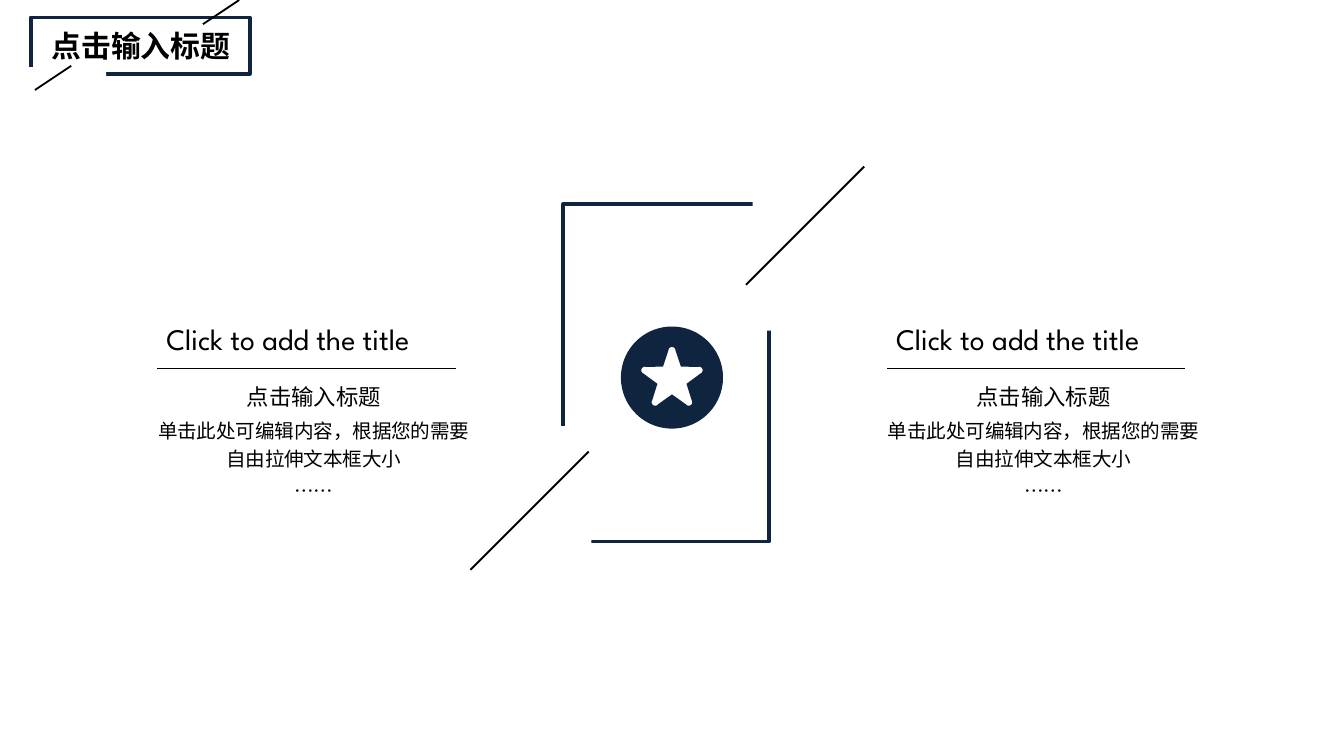
from dataclasses import dataclass
from math import cos, pi, sin

from lxml.etree import SubElement
from pptx import Presentation
from pptx.dml.color import RGBColor as Color
from pptx.enum.shapes import MSO_CONNECTOR as Connector, MSO_SHAPE as Shape
from pptx.enum.text import PP_ALIGN as Align
from pptx.oxml.ns import qn
from pptx.util import Inches, Pt


@dataclass(frozen=True)
class Theme:
    """Colours, fonts and type sizes of the deck."""
    navy: Color = Color(0x0F, 0x24, 0x3E)
    black: Color = Color(0, 0, 0)
    white: Color = Color(255, 255, 255)
    heading_font: str = "Arial"
    title_font: str = "League Spartan"
    body_font: str = "Noto Sans CJK SC"
    title_size: float = 16
    subtitle_size: float = 12
    body_size: float = 10.5


THEME = Theme()
HEADING = "点击输入标题"
TITLE = "Click to add the title"
BODY = [HEADING, "单击此处可编辑内容，根据您的需要自由拉伸文本框大小", "……"]


def add_rectangle(page, left, top, width, height, fill=None, line=None):
    """Add a rectangle with an optional fill and outline."""
    box = page.shapes.add_shape(Shape.RECTANGLE, *map(Inches, (left, top, width, height)))
    box.shadow.inherit = False
    if fill is None:
        box.fill.background()
    else:
        box.fill.solid()
        box.fill.fore_color.rgb = fill
    if line is None:
        box.line.fill.background()
    else:
        box.line.color.rgb = line
        box.line.width = Pt(2)


def add_line(page, start, end, weight=1):
    """Add a straight black line without a shadow."""
    line = page.shapes.add_connector(Connector.STRAIGHT, *map(Inches, (*start, *end)))
    line.line.color.rgb = THEME.black
    line.line.width = Pt(weight)
    SubElement(line._element.spPr, qn("a:effectLst"))


def add_text(page, box, lines, font, sizes, bold=False, align=None, inset=None):
    """Add a wrapping text box with one paragraph per line and return its frame."""
    frame = page.shapes.add_textbox(*map(Inches, box)).text_frame
    frame.word_wrap = True
    if inset is not None:
        frame.margin_left = frame.margin_right = Inches(inset)
        frame.margin_top = frame.margin_bottom = Inches(inset)
    frame.text = "\n".join(lines)
    for para, size in zip(frame.paragraphs, sizes):
        para.alignment = align
        for span in para.runs:
            span.font.name = font
            span.font.size = Pt(size)
            span.font.bold = bold
            span.font.color.rgb = THEME.black
            SubElement(span.font._element, qn("a:ea"), typeface=font)
    return frame


def add_header(page, left, top, width, height):
    """Draw the heading in a frame opened at its lower left."""
    add_rectangle(page, left, top, width, height, line=THEME.navy)
    add_rectangle(page, left - 0.23, top + 0.37, 0.79, 0.08, fill=THEME.white)
    for x, y in ((1.28, -0.13), (0.03, 0.36)):
        add_line(page, (left + x + 0.27, top + y), (left + x, top + y + 0.18))
    add_text(page, (left - 0.28, top + 0.03, 2.2, 0.37), [HEADING], THEME.heading_font,
             [THEME.title_size], bold=True, align=Align.CENTER)


def add_star_badge(page, center_x, center_y, radius):
    """Draw a disc with a soft-tipped star cut out of it."""
    def polar(x, y, distance, angle):
        return x + distance * sin(angle), y - distance * cos(angle)

    disc = [polar(center_x, center_y, radius, 2 * pi * step / 90) for step in range(90)]
    star_y = center_y + 0.03 * radius
    star = []
    for arm in range(5):
        angle = 2 * pi * arm / 5
        tip = polar(center_x, star_y, 0.56 * radius, angle)
        star += [polar(*tip, 0.07 * radius, angle + pi * turn / 8) for turn in range(-4, 5)]
        star.append(polar(center_x, star_y, 0.3 * radius, angle + pi / 5))
    star.reverse()
    disc, star = ([(Inches(x), Inches(y)) for x, y in outline] for outline in (disc, star))
    builder = page.shapes.build_freeform(*disc[0])
    builder.add_line_segments(disc[1:], close=True)
    builder.move_to(*star[0])
    builder.add_line_segments(star[1:], close=True)
    badge = builder.convert_to_shape()
    badge.shadow.inherit = False
    badge.fill.solid()
    badge.fill.fore_color.rgb = THEME.navy
    badge.line.fill.background()


def add_centerpiece(page, left, top, width, height):
    """Draw the central frame with two open corners, slashes and the badge."""
    add_rectangle(page, left, top, width, height, line=THEME.navy)
    for x, y in ((1.41, -0.28), (-0.1, 1.65)):
        add_rectangle(page, left + x, top + y, 0.31, 1.22, fill=THEME.white)
    for x, y in ((1.36, -0.28), (-0.69, 1.84)):
        add_line(page, (left + x + 0.88, top + y), (left + x, top + y + 0.88))
    add_star_badge(page, left + 0.81, top + 1.29, 0.38)


def add_column(page, left, top, width):
    """Place a title, its rule and the centred body text."""
    add_line(page, (left + 0.03, top + 0.4), (left + 2.25, top + 0.4), 0.75)
    add_text(page, (left, top, width, 0.37), [TITLE], THEME.title_font, [THEME.title_size])
    sizes = [THEME.subtitle_size, THEME.body_size, THEME.body_size]
    frame = add_text(page, (left, top + 0.47, width - 0.08, 0.95), BODY, THEME.body_font,
                     sizes, align=Align.CENTER, inset=0)
    for para, size in zip(frame.paragraphs, sizes):
        para.line_spacing = 1.2
        para.space_before = Pt(0.2 * size)


def build_deck():
    """Build and save the one-slide deck."""
    deck = Presentation()
    deck.slide_width = Inches(10)
    deck.slide_height = deck.slide_width * 9 // 16
    page = deck.slides.add_slide(deck.slide_layouts[6])
    add_header(page, 0.23, 0.13, 1.63, 0.42)
    add_centerpiece(page, 4.19, 1.52, 1.53, 2.51)
    for left in (1.14, 6.57):
        add_column(page, left, 2.34, 2.47)
    deck.save("out.pptx")


build_deck()
